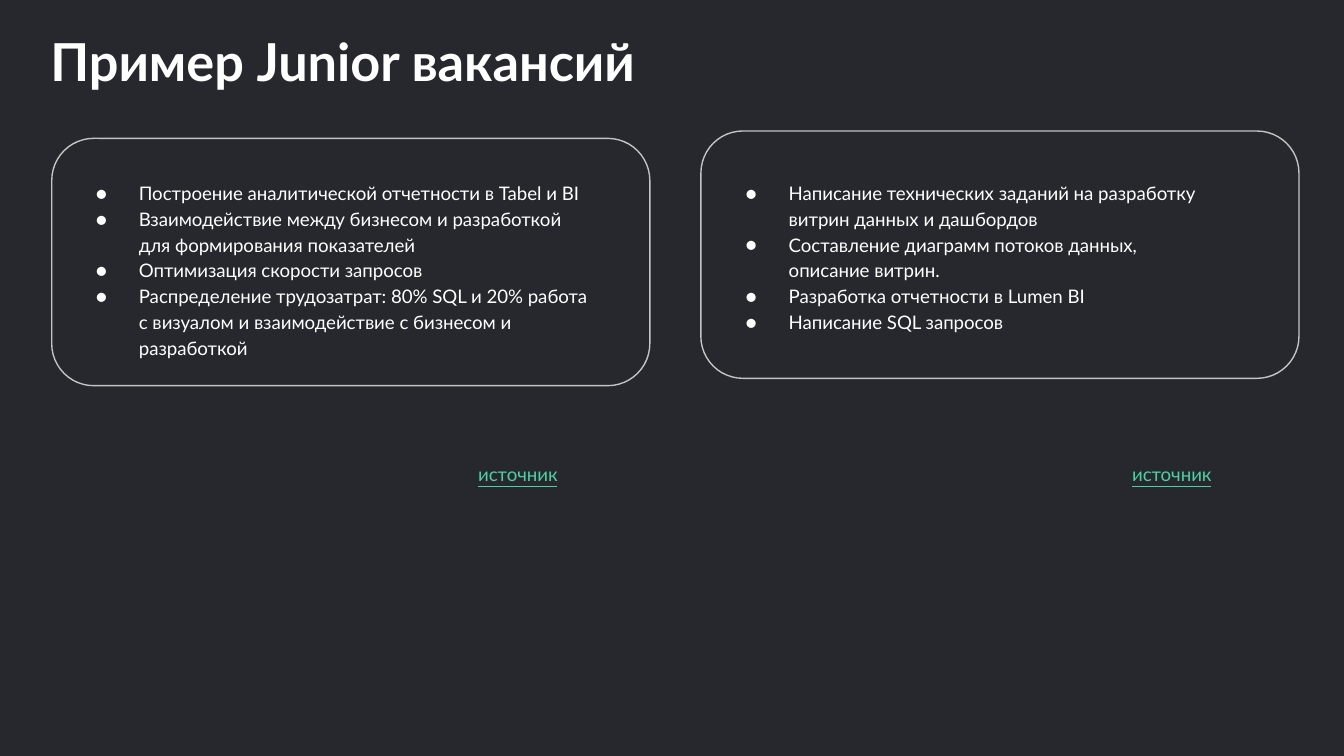
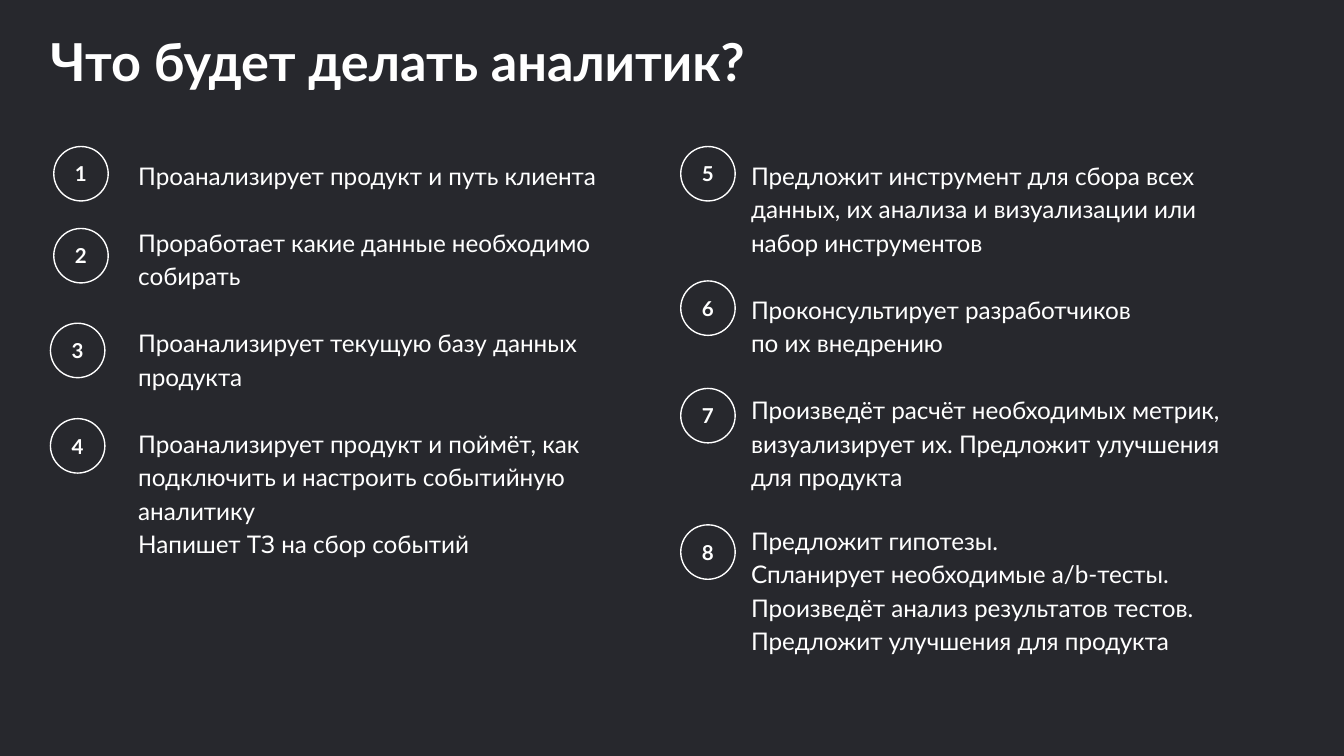
from dataclasses import dataclass

from lxml import etree
from pptx import Presentation
from pptx import util as u
from pptx.dml.color import RGBColor
from pptx.enum import shapes, text
from pptx.oxml import ns

PX = u.Inches(1) // 200


@dataclass(frozen=True)
class Theme:
    font: str = "Lato"
    background: str = "27282D"
    ink: str = "FFFFFF"
    outline: str = "C4C4C4"
    accent: str = "4BD0A0"
    title_pt: int = 28
    task_pt: int = 13
    badge_pt: int = 11
    body_pt: int = 10
    line_pt: float = 0.75
    title_spacing: float = 0.9
    body_spacing: float = 1.15


@dataclass(frozen=True)
class Box:
    left: int
    top: int
    width: int
    height: int

    def emu(self) -> tuple[int, ...]:
        return tuple(v * PX for v in (self.left, self.top, self.width, self.height))


@dataclass(frozen=True)
class Vacancy:
    card: Box
    body: Box
    source: Box
    duties: tuple[str, ...]


@dataclass(frozen=True)
class Task:
    wording: str
    badge_left: int
    badge_top: int
    gap_pt: int = 18


@dataclass(frozen=True)
class TaskColumn:
    body: Box
    first_number: int
    tasks: tuple[Task, ...]


THEME = Theme()
SLIDE_SIZE = (2000, 1125)
TITLE_BOX = Box(75, 54, 1864, 84)
CARD_SIZE = (890, 368)
SOURCE_SIZE = (212, 74)
BADGE_SIZE = 81
INSET = 20
BULLET_MARGIN, BULLET_HANG = 100, 64

VACANCIES = (
    Vacancy(
        Box(77, 206, *CARD_SIZE), Box(87, 246, 816, 306), Box(692, 672, *SOURCE_SIZE),
        (
            "Построение аналитической отчетности в Tabel и BI",
            "Взаимодействие между бизнесом и разработкой для формирования показателей",
            "Оптимизация скорости запросов",
            "Распределение трудозатрат: 80% SQL и 20% работа с визуалом "
            "и взаимодействие с бизнесом и разработкой",
        ),
    ),
    Vacancy(
        Box(1043, 195, *CARD_SIZE), Box(1054, 246, 764, 268), Box(1665, 672, *SOURCE_SIZE),
        (
            "Написание технических заданий на разработку витрин данных и дашбордов",
            "Составление диаграмм потоков данных, описание витрин.",
            "Разработка отчетности в Lumen BI",
            "Написание SQL запросов",
        ),
    ),
)

TASK_COLUMNS = (
    TaskColumn(Box(186, 213, 782, 638), 1, (
        Task("Проанализирует продукт и путь клиента", 80, 218, 0),
        Task("Проработает какие данные необходимо собирать", 80, 340),
        Task("Проанализирует текущую базу данных продукта", 75, 481),
        Task("Проанализирует продукт и поймёт, как подключить и настроить "
             "событийную аналитику\nНапишет ТЗ на сбор событий", 75, 623),
    )),
    TaskColumn(Box(1098, 213, 782, 788), 5, (
        Task("Предложит инструмент для сбора всех данных, их анализа "
             "и визуализации или набор инструментов", 1013, 218, 0),
        Task("Проконсультирует разработчиков\nпо их внедрению", 1013, 418),
        Task("Произведёт расчёт необходимых метрик, визуализирует их. "
             "Предложит улучшения для продукта", 1013, 578),
        Task("Предложит гипотезы.\nСпланирует необходимые a/b-тесты. "
             "Произведёт анализ результатов тестов. "
             "Предложит улучшения для продукта", 1013, 781, 16),
    )),
)


def rgb(value: str) -> RGBColor:
    return RGBColor.from_string(value)


def set_frame(tf, inset: int, anchor=text.MSO_ANCHOR.TOP) -> None:
    tf.word_wrap = True
    tf.auto_size = text.MSO_AUTO_SIZE.NONE
    tf.vertical_anchor = anchor
    tf.margin_left = tf.margin_top = tf.margin_right = tf.margin_bottom = inset * PX


def add_runs(p, wording: str, size: int, color: str = THEME.ink,
             bold: bool = False, underline: bool = False) -> None:
    """Add one run per line, with line breaks between them."""
    for i, line in enumerate(wording.split("\n")):
        if i:
            p.add_line_break()
        r = p.add_run()
        r.text = line
        r.font.name, r.font.size = THEME.font, u.Pt(size)
        r.font.bold, r.font.underline = bold, underline
        r.font.color.rgb = rgb(color)


def set_bullet(p) -> None:
    """Give a paragraph a round bullet and a hanging indent."""
    ppr = p._p.get_or_add_pPr()
    ppr.set("marL", str(BULLET_MARGIN * PX))
    ppr.set("indent", str(-BULLET_HANG * PX))
    color = etree.SubElement(ppr, ns.qn("a:buClr"))
    etree.SubElement(color, ns.qn("a:srgbClr"), val=THEME.ink)
    etree.SubElement(ppr, ns.qn("a:buSzPts"), val=str(THEME.body_pt * 100))
    etree.SubElement(ppr, ns.qn("a:buFont"), typeface=THEME.font)
    etree.SubElement(ppr, ns.qn("a:buChar"), char="●")


def add_titled_slide(prs, title: str):
    s = prs.slides.add_slide(prs.slide_layouts[5])
    sp = s.shapes.title
    sp.left, sp.top, sp.width, sp.height = TITLE_BOX.emu()
    set_frame(sp.text_frame, 0)
    p = sp.text_frame.paragraphs[0]
    p.alignment = text.PP_ALIGN.LEFT
    p.line_spacing = THEME.title_spacing
    add_runs(p, title, THEME.title_pt, bold=True)
    return s


def add_outline(s, kind: shapes.MSO_SHAPE, box: Box, color: str):
    sp = s.shapes.add_shape(kind, *box.emu())
    sp.shadow.inherit = False
    sp.fill.background()
    sp.line.color.rgb = rgb(color)
    sp.line.width = u.Pt(THEME.line_pt)
    return sp


def add_text_frame(s, box: Box):
    tf = s.shapes.add_textbox(*box.emu()).text_frame
    set_frame(tf, INSET)
    tf.auto_size = text.MSO_AUTO_SIZE.SHAPE_TO_FIT_TEXT
    return tf


def next_paragraph(tf, index: int):
    p = tf.add_paragraph() if index else tf.paragraphs[0]
    p.line_spacing = THEME.body_spacing
    return p


def draw_vacancy(s, vacancy: Vacancy) -> None:
    card = add_outline(s, shapes.MSO_SHAPE.ROUNDED_RECTANGLE, vacancy.card, THEME.outline)
    card.adjustments[0] = 0.17
    tf = add_text_frame(s, vacancy.body)
    for i, duty in enumerate(vacancy.duties):
        p = next_paragraph(tf, i)
        set_bullet(p)
        add_runs(p, duty, THEME.body_pt)
    p = add_text_frame(s, vacancy.source).paragraphs[0]
    add_runs(p, "источник", THEME.body_pt, THEME.accent, underline=True)


def draw_badge(s, number: int, task: Task) -> None:
    box = Box(task.badge_left, task.badge_top, BADGE_SIZE, BADGE_SIZE)
    tf = add_outline(s, shapes.MSO_SHAPE.OVAL, box, THEME.ink).text_frame
    set_frame(tf, 0, text.MSO_ANCHOR.MIDDLE)
    p = tf.paragraphs[0]
    p.alignment = text.PP_ALIGN.CENTER
    add_runs(p, str(number), THEME.badge_pt, bold=True)


def draw_task_column(s, column: TaskColumn) -> None:
    tf = add_text_frame(s, column.body)
    for i, task in enumerate(column.tasks):
        p = next_paragraph(tf, i)
        p.space_before = u.Pt(task.gap_pt)
        add_runs(p, task.wording, THEME.task_pt)
        draw_badge(s, column.first_number + i, task)


def main() -> None:
    prs = Presentation()
    prs.slide_width, prs.slide_height = (v * PX for v in SLIDE_SIZE)
    fill = prs.slide_master.background.fill
    fill.solid()
    fill.fore_color.rgb = rgb(THEME.background)

    s = add_titled_slide(prs, "Пример Junior вакансий")
    for vacancy in VACANCIES:
        draw_vacancy(s, vacancy)

    s = add_titled_slide(prs, "Что будет делать аналитик?")
    for column in TASK_COLUMNS:
        draw_task_column(s, column)

    prs.save("out.pptx")


if __name__ == "__main__":
    main()
